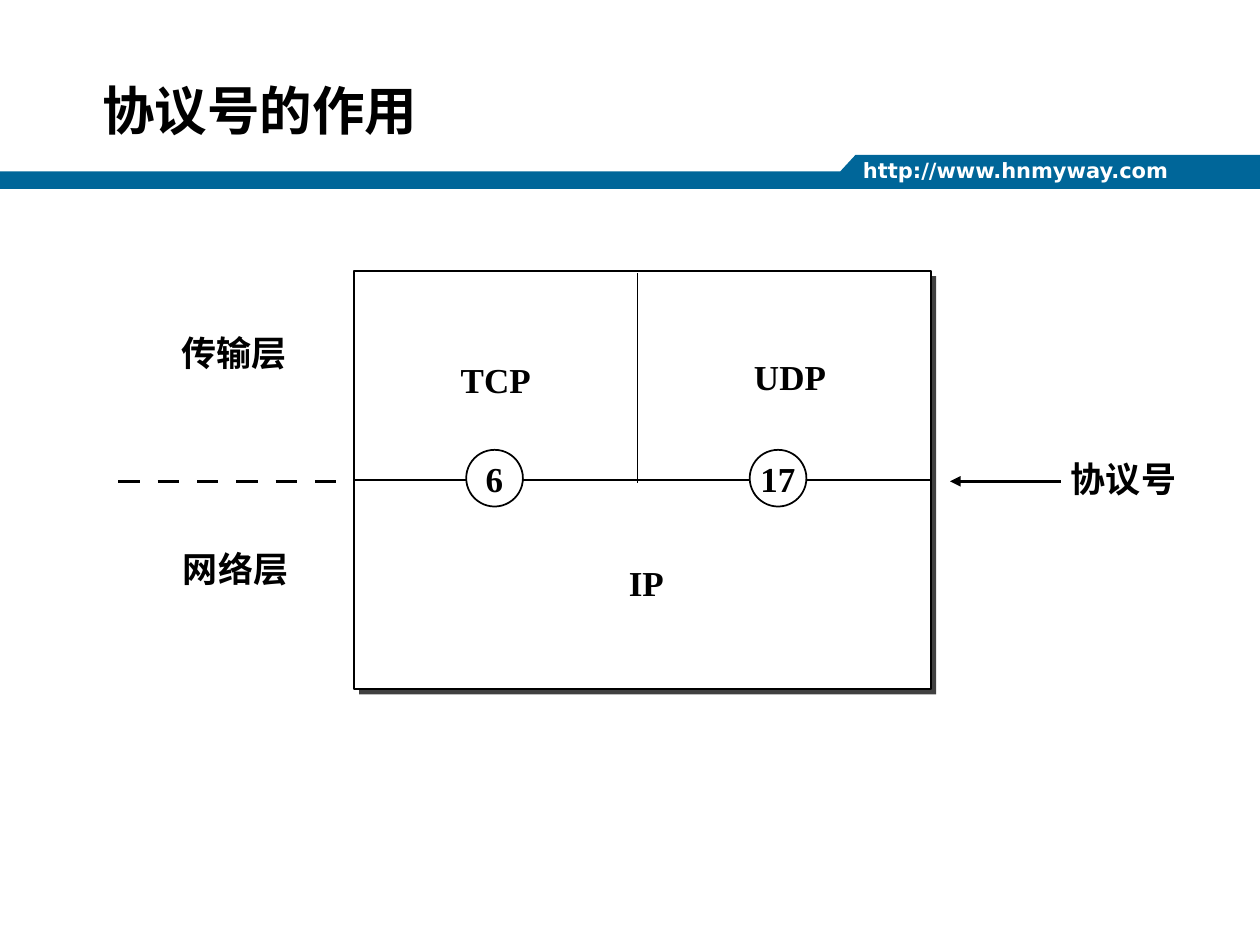
from typing import NamedTuple

from lxml.etree import SubElement
from pptx import Presentation
from pptx.dml.color import RGBColor
from pptx.enum.shapes import MSO_CONNECTOR, MSO_SHAPE as Shape
from pptx.enum.text import MSO_ANCHOR as Anchor, MSO_AUTO_SIZE as AutoSize, PP_ALIGN as Align
from pptx.oxml.ns import qn
from pptx.util import Inches, Pt

COLORS = {"ink": "000000", "paper": "FFFFFF", "band": "006699"}
SERIF = "Times New Roman"


class Label(NamedTuple):
    text: str
    left: float
    top: float
    width: float
    height: float
    align: Align = Align.CENTER


class Layer(NamedTuple):
    top: float
    height: float
    outlined: bool


class ProtocolNumber(NamedTuple):
    text: str
    left: float


STACK_LEFT, STACK_TOP, STACK_WIDTH = 2.81, 2.15, 4.58
LAYER_HEIGHT = 1.66
BOUNDARY_Y = 3.82
DASH_FIRST, DASH_LAST, DASH_COUNT, DASH_LENGTH = 0.94, 2.5, 6, 0.17
NUMBER_TOP, NUMBER_SIZE = 3.57, 0.45

LAYERS = [
    Layer(STACK_TOP, 2 * LAYER_HEIGHT, False),
    Layer(STACK_TOP + LAYER_HEIGHT, LAYER_HEIGHT, True),
    Layer(STACK_TOP, LAYER_HEIGHT, True),
]
LABELS = [
    Label("传输层", 0.7, 2.61, 2.31, 0.84),
    Label("网络层", 0.94, 4.32, 1.86, 0.84),
    Label("TCP", 2.81, 2.82, 2.25, 0.52),
    Label("UDP", 5.19, 2.8, 2.16, 0.52),
    Label("协议号", 8.48, 3.61, 1.44, 0.84, Align.LEFT),
    Label("IP", 4.84, 4.43, 0.58, 0.52),
]
NUMBERS = [ProtocolNumber("17", 5.95), ProtocolNumber("6", 3.7)]


def color(name: str) -> RGBColor:
    return RGBColor.from_string(COLORS[name])


def set_margins(frame, side: float, end: float) -> None:
    frame.margin_left = frame.margin_right = Inches(side)
    frame.margin_top = frame.margin_bottom = Inches(end)


def write(paragraph, text: str, size: float, font: str, ink: str = "ink") -> None:
    run = paragraph.add_run()
    run.text = text
    run.font.size, run.font.name, run.font.bold = Pt(size), font, True
    run.font.color.rgb = color(ink)


def paint(shape, fill: str, outlined: bool) -> None:
    shape.shadow.inherit = False
    shape.fill.solid()
    shape.fill.fore_color.rgb = color(fill)
    if outlined:
        shape.line.color.rgb = color("ink")
        shape.line.width = Pt(1)
    else:
        shape.line.fill.background()


def add_hard_shadow(shape) -> None:
    effects = shape._element.spPr.find(qn("a:effectLst"))
    shadow = SubElement(effects, qn("a:outerShdw"), blurRad="0", dist=str(Pt(4.2)),
                        dir=str(45 * 60000), algn="ctr", rotWithShape="0")
    ink = SubElement(shadow, qn("a:srgbClr"), val=COLORS["ink"])
    SubElement(ink, qn("a:alpha"), val="75000")


def add_band(slide) -> None:
    builder = slide.shapes.build_freeform(0, Inches(1.5))
    corners = [(0, 1.36), (6.67, 1.36), (6.79, 1.23), (10, 1.23), (10, 1.5)]
    builder.add_line_segments([(Inches(x), Inches(y)) for x, y in corners])
    paint(builder.convert_to_shape(), "band", False)

    address = slide.shapes.add_textbox(Inches(6.75), Inches(1.2), Inches(2.92), Inches(0.3))
    frame = address.text_frame
    frame.word_wrap = True
    frame.auto_size = AutoSize.SHAPE_TO_FIT_TEXT
    set_margins(frame, 0.1, 0.05)
    write(frame.paragraphs[0], "http://www.hnmyway.com", 12, "DejaVu Sans", "paper")


def add_title(slide, text: str) -> None:
    title = slide.shapes.title
    title.left, title.top = Inches(0.72), Inches(0.25)
    title.width, title.height = Inches(8.91), Inches(0.92)
    frame = title.text_frame
    frame.auto_size = AutoSize.NONE
    frame.vertical_anchor = Anchor.BOTTOM
    set_margins(frame, 0.09, 0.04)
    paragraph = frame.paragraphs[0]
    paragraph.alignment, paragraph.line_spacing = Align.LEFT, 0.9
    write(paragraph, text, 30, "Arial")


def add_layer(slide, layer: Layer) -> None:
    box = slide.shapes.add_shape(Shape.RECTANGLE, Inches(STACK_LEFT), Inches(layer.top),
                                 Inches(STACK_WIDTH), Inches(layer.height))
    paint(box, "paper", layer.outlined)
    if not layer.outlined:
        add_hard_shadow(box)


def add_label(slide, label: Label) -> None:
    box = slide.shapes.add_textbox(Inches(label.left), Inches(label.top),
                                   Inches(label.width), Inches(label.height))
    frame = box.text_frame
    frame.word_wrap = False
    set_margins(frame, 0.02, 0.03)
    paragraph = frame.paragraphs[0]
    paragraph.alignment, paragraph.line_spacing = label.align, Pt(23.6)
    write(paragraph, label.text, 20, SERIF)


def add_line(slide, x1: float, y1: float, x2: float, y2: float,
             width: float, arrow: bool = False) -> None:
    line = slide.shapes.add_connector(MSO_CONNECTOR.STRAIGHT, Inches(x1), Inches(y1),
                                      Inches(x2), Inches(y2))
    line.line.color.rgb = color("ink")
    line.line.width = Pt(width)
    if arrow:
        SubElement(line.line._get_or_add_ln(), qn("a:tailEnd"), type="triangle")
    SubElement(line._element.spPr, qn("a:effectLst"))


def add_number(slide, number: ProtocolNumber) -> None:
    circle = slide.shapes.add_shape(Shape.OVAL, Inches(number.left), Inches(NUMBER_TOP),
                                    Inches(NUMBER_SIZE), Inches(NUMBER_SIZE))
    paint(circle, "paper", True)
    frame = circle.text_frame
    frame.word_wrap = False
    frame.vertical_anchor = Anchor.MIDDLE
    set_margins(frame, 0.11, 0.06)
    frame.paragraphs[0].alignment = Align.CENTER
    write(frame.paragraphs[0], number.text, 20, SERIF)


def main() -> None:
    deck = Presentation()
    deck.slide_width, deck.slide_height = Inches(10), Inches(7.5)
    slide = deck.slides.add_slide(deck.slide_layouts[5])

    # Header
    add_band(slide)
    add_title(slide, "协议号的作用")

    # Protocol stack and its labels
    for layer in LAYERS:
        add_layer(slide, layer)
    for label in LABELS:
        add_label(slide, label)

    # Dashed boundary between the layers
    pitch = (DASH_LAST - DASH_FIRST) / (DASH_COUNT - 1)
    for index in range(DASH_COUNT):
        dash_left = DASH_FIRST + index * pitch
        add_line(slide, dash_left, BOUNDARY_Y, dash_left + DASH_LENGTH, BOUNDARY_Y, 2)

    # Arrow to the boundary, and the TCP/UDP divider
    add_line(slide, 8.42, BOUNDARY_Y, 7.54, BOUNDARY_Y, 2, arrow=True)
    add_line(slide, 5.06, 2.17, 5.06, 3.83, 1)

    # Protocol numbers
    for number in NUMBERS:
        add_number(slide, number)

    deck.save("out.pptx")


if __name__ == "__main__":
    main()
